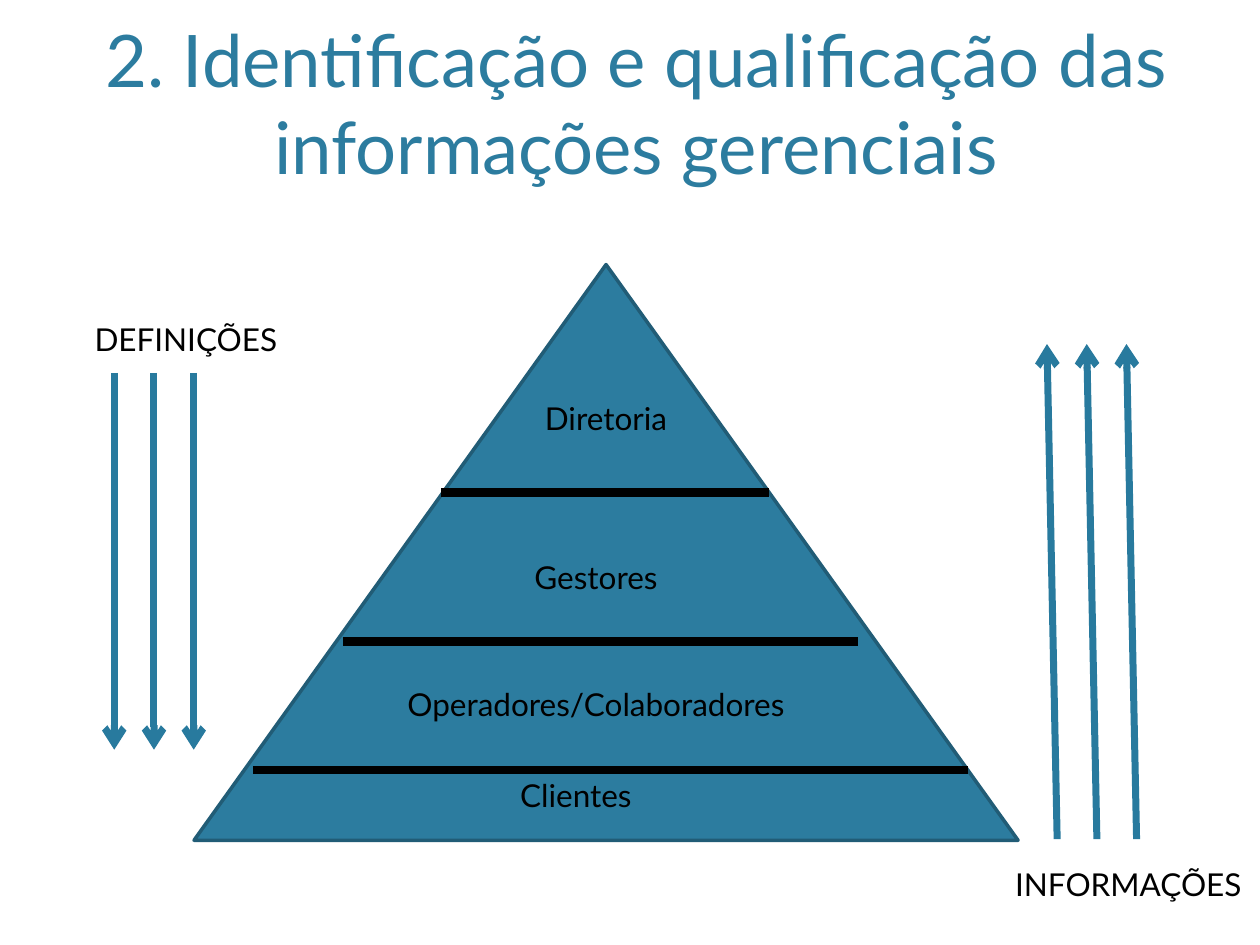
from lxml import etree
from pptx import Presentation
from pptx.dml.color import RGBColor
from pptx.enum.shapes import MSO_CONNECTOR, MSO_SHAPE
from pptx.enum.text import MSO_ANCHOR, PP_ALIGN
from pptx.oxml.ns import qn
from pptx.util import Pt

STRAIGHT = MSO_CONNECTOR.STRAIGHT
TRIANGLE = MSO_SHAPE.ISOSCELES_TRIANGLE
TOP, BOTTOM = MSO_ANCHOR.TOP, MSO_ANCHOR.BOTTOM
CENTER = PP_ALIGN.CENTER

FONT = "Lato"
BLUE, EDGE, ARROW, BLACK = "2C7C9F", "215C76", "287A9E", "000000"
LABEL_HEIGHT = 29


def color(hex_value):
    return RGBColor.from_string(hex_value)


def add_label(slide, text, box, size=18, ink=BLACK, anchor=TOP):
    label = slide.shapes.add_textbox(*map(Pt, box))
    frame = label.text_frame
    frame.word_wrap = True
    frame.vertical_anchor = anchor
    paragraph = frame.paragraphs[0]
    paragraph.alignment = CENTER
    run = paragraph.add_run()
    run.text = text
    run.font.name = FONT
    run.font.size = Pt(size)
    run.font.color.rgb = color(ink)


def add_line(slide, start, end, ink, width, arrow=False):
    line = slide.shapes.add_connector(STRAIGHT, *map(Pt, start + end))
    line.line.color.rgb = color(ink)
    line.line.width = Pt(width)
    if arrow:
        head = etree.SubElement(line.line._get_or_add_ln(), qn("a:tailEnd"))
        head.set("type", "arrow")
    etree.SubElement(line._element.spPr, qn("a:effectLst"))


def add_title(slide, box):
    add_label(slide, "2. Identificação e qualificação das informações gerenciais",
              box, 41.4, BLUE, BOTTOM)


def add_pyramid(slide, box):
    left, top, width, height = box
    pyramid = slide.shapes.add_shape(TRIANGLE, *map(Pt, box))
    pyramid.shadow.inherit = False
    pyramid.fill.solid()
    pyramid.fill.fore_color.rgb = color(BLUE)
    pyramid.line.color.rgb = color(EDGE)
    pyramid.line.width = Pt(2)

    levels = [
        ("Diretoria", 102.2, 73.4),
        ("Gestores", 96.5, 164.2),
        ("Operadores/Colaboradores", 96.5, 236.9),
        ("Clientes", 85, 288.7),
    ]
    for name, dx, dy in levels:
        add_label(slide, name, (left + dx, top + dy, 266.4, LABEL_HEIGHT))

    dividers = [(141.1, 328.3, 130.3), (85, 379.4, 215.3), (33.8, 442.1, 288.7)]
    for x_start, x_end, dy in dividers:
        add_line(slide, (left + x_start, top + dy), (left + x_end, top + dy),
                 BLACK, 4.75)


def add_flow(slide, caption, caption_box, start, end, pitch=22.7):
    add_label(slide, caption, caption_box)
    for index in range(3):
        shift = index * pitch
        add_line(slide, (start[0] + shift, start[1]), (end[0] + shift, end[1]),
                 ARROW, 4, arrow=True)


def main():
    presentation = Presentation()
    presentation.slide_width, presentation.slide_height = Pt(720), Pt(540)
    slide = presentation.slides.add_slide(presentation.slide_layouts[6])
    add_title(slide, (20.2, 21.6, 686.2, 90))
    add_pyramid(slide, (110.9, 151.2, 470.9, 329))
    add_flow(slide, "DEFINIÇÕES", (0, 179.3, 212.4, LABEL_HEIGHT),
             (65.3, 213.1), (65.3, 428.4))
    add_flow(slide, "INFORMAÇÕES", (569.5, 491, 150.5, LABEL_HEIGHT),
             (604.1, 479.5), (598.3, 196.6))
    presentation.save("out.pptx")


if __name__ == "__main__":
    main()
